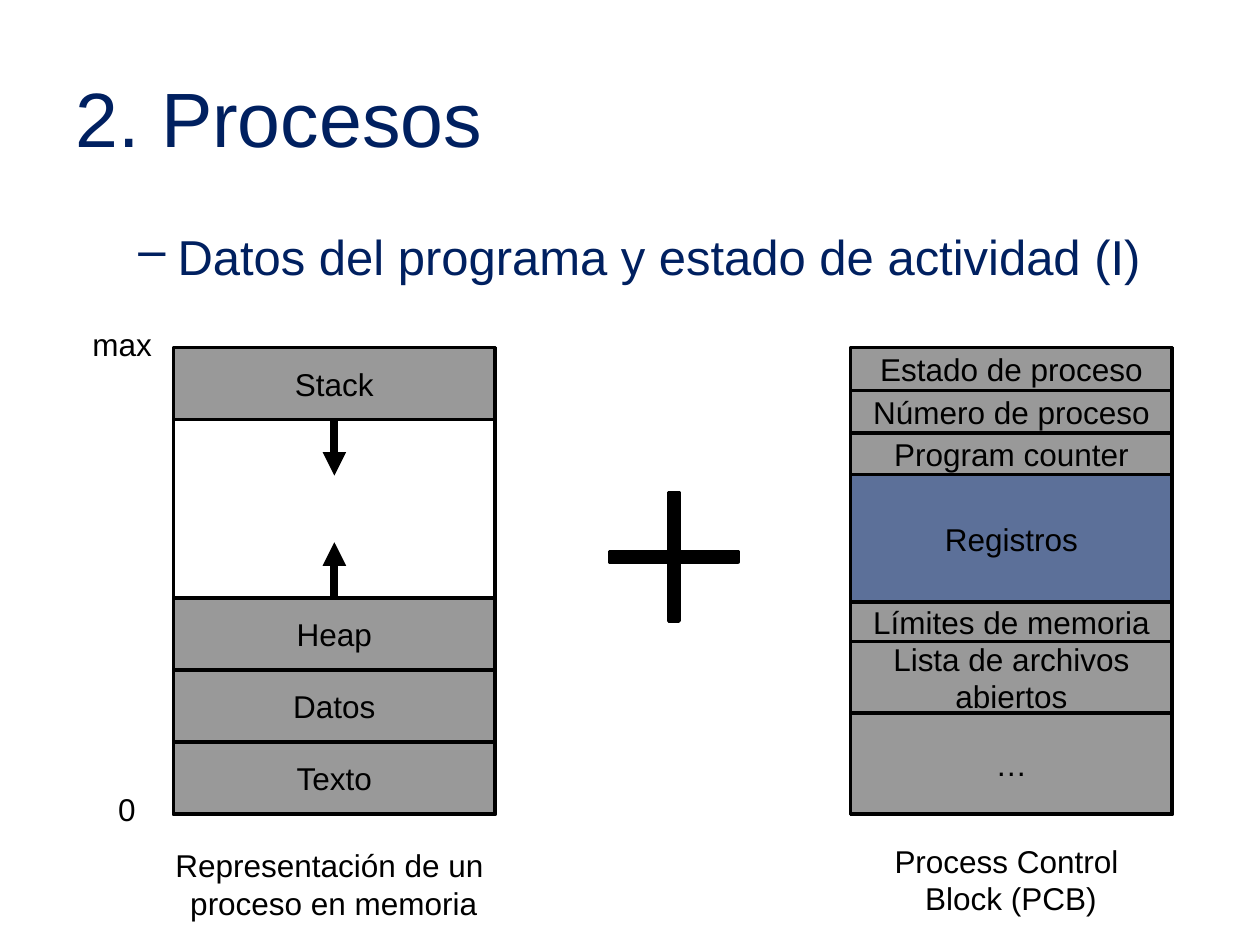
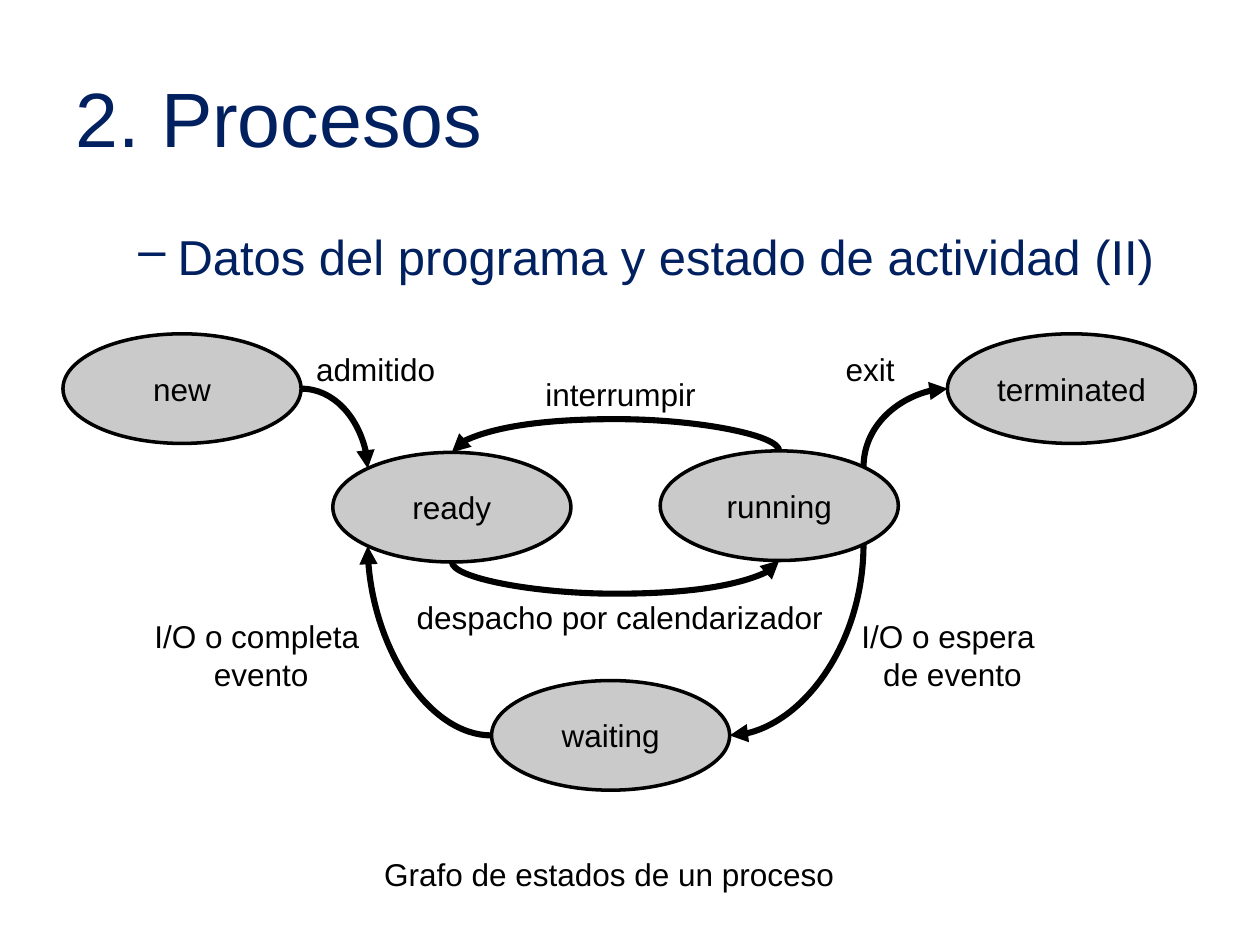
from math import cos, radians, sin

from lxml.etree import SubElement
from pptx import Presentation
from pptx.dml.color import RGBColor
from pptx.enum.shapes import MSO_CONNECTOR, MSO_SHAPE
from pptx.enum.text import MSO_ANCHOR, MSO_AUTO_SIZE, PP_ALIGN
from pptx.oxml.ns import qn
from pptx.util import Cm, Pt

NAVY = RGBColor(0x00, 0x20, 0x60)
DARK = RGBColor(0x60, 0x60, 0x60)
GREY = RGBColor(0xA6, 0xA6, 0xA6)
BLACK = RGBColor(0, 0, 0)
FONT = "Arial"


class Deck:
    """Holds the presentation, its style and the current slide."""

    def __init__(self):
        self.prs = Presentation()
        self.prs.slide_width, self.prs.slide_height = Cm(25.4), Cm(19.05)
        self.slide = None

    def style(self, par, size=18, color=BLACK, align=PP_ALIGN.CENTER):
        par.font.name, par.font.size = FONT, Pt(size)
        par.font.color.rgb = color
        par.alignment = align

    def page(self, title, topic):
        """Start a slide with its title and dashed topic line."""
        self.slide = self.prs.slides.add_slide(self.prs.slide_layouts[5])
        head = self.slide.shapes.title
        head.left, head.top, head.width, head.height = Cm(1.27), Cm(0.76), Cm(22.86), Cm(3.18)
        head.text_frame.text = title
        head.text_frame.vertical_anchor = MSO_ANCHOR.MIDDLE
        self.style(head.text_frame.paragraphs[0], 44, NAVY, PP_ALIGN.LEFT)

        body = self.slide.shapes.add_textbox(Cm(1.27), Cm(4.45), Cm(22.86), Cm(12.57))
        body.text_frame.word_wrap = True
        par = body.text_frame.paragraphs[0]
        par.text = topic
        self.style(par, 28, NAVY, PP_ALIGN.LEFT)
        par.space_before = Pt(5.6)
        props = par._p.get_or_add_pPr()
        props.set("marL", str(Cm(2.06)))
        props.set("indent", str(Cm(-0.79)))
        SubElement(props, qn("a:buChar"), char="–")

    def label(self, text, left, top, width, height=1.02):
        box = self.slide.shapes.add_textbox(Cm(left), Cm(top), Cm(width), Cm(height))
        frame = box.text_frame
        frame.word_wrap = False
        frame.auto_size = MSO_AUTO_SIZE.SHAPE_TO_FIT_TEXT
        frame.text = text
        for par in frame.paragraphs:
            self.style(par)

    def shape(self, kind, left, top, width, height, fill=None, alpha=100, text=""):
        item = self.slide.shapes.add_shape(kind, Cm(left), Cm(top), Cm(width), Cm(height))
        item.shadow.inherit = False
        item.line.color.rgb, item.line.width = BLACK, Pt(2)
        if fill is None:
            item.fill.background()
        else:
            item.fill.solid()
            item.fill.fore_color.rgb = fill
            if alpha < 100:
                color = item._element.spPr.find(qn("a:solidFill"))[0]
                SubElement(color, qn("a:alpha"), val=str(alpha * 1000))
        if text:
            item.text_frame.text = text
            self.style(item.text_frame.paragraphs[0])
        return item

    def stack(self, left, top, width, rows):
        """Draw framed rows downwards; a row without text stays open."""
        total = sum(row[1] for row in rows)
        self.shape(MSO_SHAPE.RECTANGLE, left, top, width, total)
        cells = {}
        for text, height, fill in rows:
            if text:
                cells[text] = self.shape(MSO_SHAPE.RECTANGLE, left, top, width, height,
                                         fill, 64, text)
            top += height
        return cells

    def state(self, text, left, top, width=4.8):
        return self.shape(MSO_SHAPE.OVAL, left, top, width, 2.21, GREY, 59, text)

    def ink(self, line, width):
        """Give a connector its black line and arrowhead."""
        line.line.color.rgb, line.line.width = BLACK, Pt(width)
        props = line._element.spPr
        SubElement(props.find(qn("a:ln")), qn("a:tailEnd"), type="triangle")
        SubElement(props, qn("a:effectLst"))

    def arrow(self, cell, side, reach):
        """Draw a vertical arrow from the middle of a cell's side."""
        x = cell.left + cell.width // 2
        y = cell.top + (cell.height if side == 2 else 0)
        line = self.slide.shapes.add_connector(MSO_CONNECTOR.STRAIGHT, x, y, x, y + Cm(reach))
        line.begin_connect(cell, side)
        self.ink(line, 4.5)

    def curve(self, start, out, end, into, turn=0, flip=False, bulge=0):
        """Join two ovals by site number, counted anticlockwise from the top."""
        x1, y1 = site(start, out)
        x2, y2 = site(end, into)
        line = self.slide.shapes.add_connector(MSO_CONNECTOR.CURVE, x1, y1, x2, y2)
        line.begin_connect(start, 0)
        line.end_connect(end, 0)
        ends = line._element.nvCxnSpPr.cNvCxnSpPr
        ends.stCxn.idx, ends.endCxn.idx = out, into

        wide, high = abs(x2 - x1), abs(y2 - y1)
        if turn in (90, 270):
            wide, high = high, wide
        line.width, line.height = wide, high
        line.left, line.top = (x1 + x2 - wide) // 2, (y1 + y2 - high) // 2
        props = line._element.spPr
        frame = props.find(qn("a:xfrm"))
        frame.set("rot", str(turn * 60000))
        for name in ("flipH", "flipV"):
            frame.set(name, str(int(flip)))

        geom = props.find(qn("a:prstGeom"))
        if bulge:
            ratio = round(-Cm(bulge) / wide * 100000)
            SubElement(geom.find(qn("a:avLst")), qn("a:gd"), name="adj1", fmla=f"val {ratio}")
        else:
            geom.set("prst", "curvedConnector2")
        self.ink(line, 3.5)


def site(oval, index):
    """Return the point of an oval's connection site."""
    angle = radians(45 * index)
    x = oval.left + oval.width / 2 * (1 - sin(angle))
    y = oval.top + oval.height / 2 * (1 - cos(angle))
    return round(x), round(y)


def memory(deck):
    deck.page("2. Procesos", "Datos del programa y estado de actividad (I)")
    top, width = 7.01, 6.48
    cells = deck.stack(3.5, top, width, [
        ("Stack", 1.45, DARK), ("", 3.6, None), ("Heap", 1.45, DARK),
        ("Datos", 1.45, DARK), ("Texto", 1.45, DARK)])
    deck.arrow(cells["Stack"], 2, 1.13)
    deck.arrow(cells["Heap"], 0, -1.13)
    deck.label("Representación de un \nproceso en memoria", 3.25, 16.94, 6.96, 1.8)
    plus = deck.shape(MSO_SHAPE.CROSS, 12.29, 9.93, 2.59, 2.59, BLACK)
    plus.adjustments[0] = 0.46
    deck.label("0", 2.13, 15.8, 0.86)
    deck.label("Process Control \nBlock (PCB)", 17.75, 16.84, 5.26, 1.8)
    deck.label("max", 1.6, 6.43, 1.73)
    deck.stack(17.15, top, width, [
        ("Estado de proceso", 0.86, DARK), ("Número de proceso", 0.86, DARK),
        ("Program counter", 0.84, DARK), ("Registros", 2.57, NAVY),
        ("Límites de memoria", 0.79, DARK), ("Lista de archivos abiertos", 1.45, DARK),
        ("…", 2.03, DARK)])


def graph(deck):
    deck.page("2. Procesos", "Datos del programa y estado de actividad (II)")
    new = deck.state("new", 1.27, 6.73)
    ready = deck.state("ready", 6.71, 9.12)
    run = deck.state("running", 13.31, 9.09)
    done = deck.state("terminated", 19.1, 6.73, 5)
    wait = deck.state("waiting", 9.91, 13.72)

    deck.curve(new, 6, ready, 1)
    deck.curve(run, 7, done, 2, 90, True)
    deck.curve(run, 0, ready, 0, 270, True, 0.64)
    deck.curve(ready, 4, run, 4, 90, True, 0.64)
    deck.curve(run, 5, wait, 6, 90)
    deck.curve(wait, 2, ready, 3, 180)

    deck.label("admitido", 6.1, 6.93, 2.95)
    deck.label("exit", 16.79, 6.93, 1.5)
    deck.label("interrumpir", 10.72, 7.44, 3.58)
    deck.label("despacho por calendarizador", 8.1, 11.94, 8.79)
    deck.label("I/O o espera \nde evento", 17.09, 12.32, 4.22, 1.8)
    deck.label("I/O o completa \nevento", 2.84, 12.32, 4.85, 1.8)
    deck.label("Grafo de estados de un proceso", 7.44, 17.12, 9.68)


def main():
    deck = Deck()
    memory(deck)
    graph(deck)
    deck.prs.save("out.pptx")


if __name__ == "__main__":
    main()
